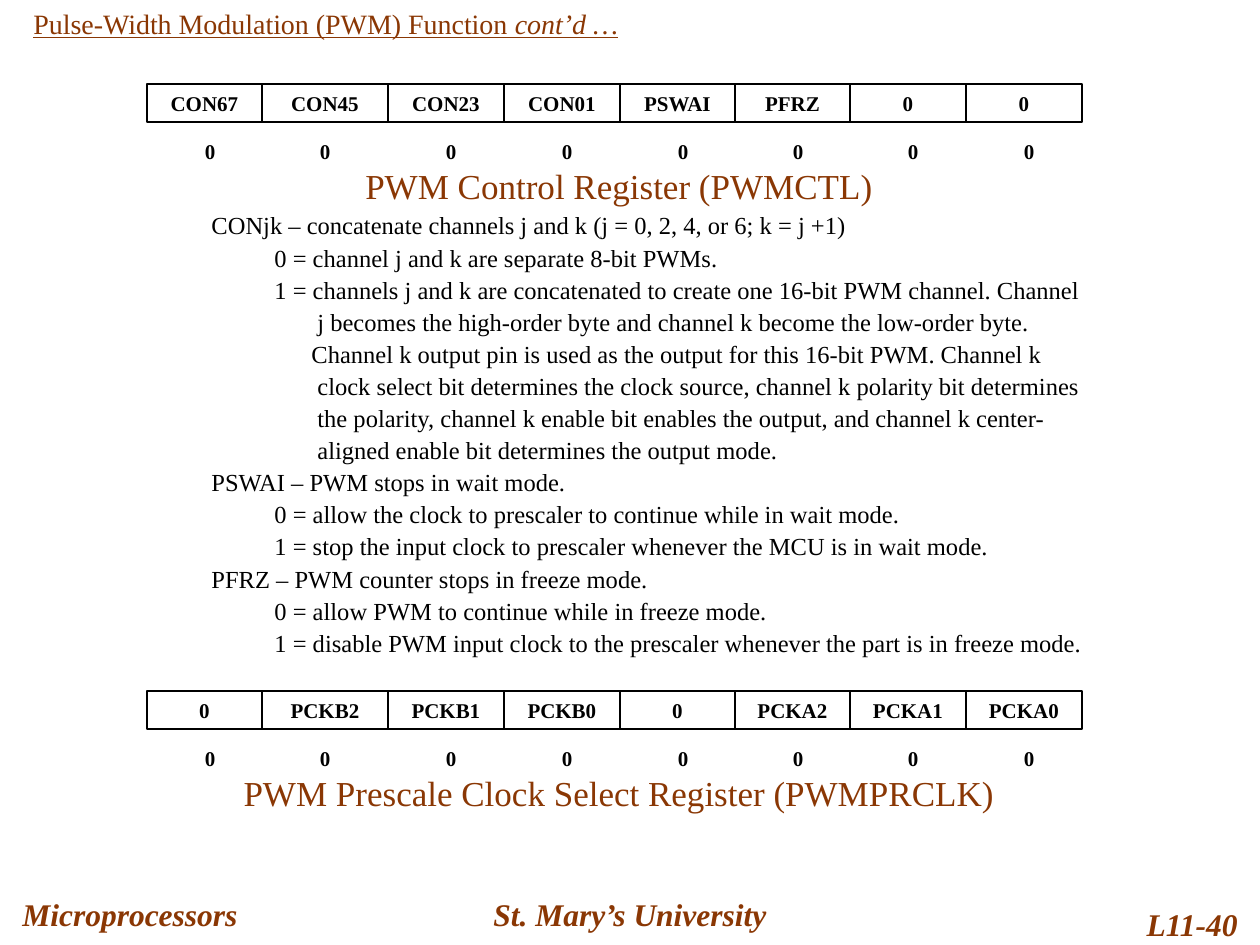
from pptx import Presentation
from pptx.dml.color import RGBColor
from pptx.enum.shapes import MSO_SHAPE
from pptx.enum.text import MSO_ANCHOR, PP_ALIGN
from pptx.util import Emu, Pt

COLORS = {"brown": "8A3704", "black": "000000"}
FONT = "Times New Roman"


def px(n):
    return Emu(round(n * 914400 / 126))


def write(sp, lines, size, color, align=PP_ALIGN.LEFT, bold=False, italic=False):
    tf = sp.text_frame
    tf.word_wrap = True
    tf.vertical_anchor = MSO_ANCHOR.TOP
    tf.text = "\n".join(lines)
    for p in tf.paragraphs:
        p.alignment = align
        for r in p.runs:
            r.font.name, r.font.size = FONT, Pt(size)
            r.font.bold, r.font.italic = bold, italic
            r.font.color.rgb = RGBColor.from_string(COLORS[color])
    return tf


prs = Presentation()
prs.slide_width, prs.slide_height = px(1260), px(945)
s = prs.slides.add_slide(prs.slide_layouts[6])

# Footer
footers = [
    ("Microprocessors", 10, 882, 305, PP_ALIGN.LEFT),
    ("St. Mary’s University", 430, 882, 400, PP_ALIGN.CENTER),
    ("L11-40", 1092, 892, 158, PP_ALIGN.RIGHT),
]
for text, x, y, w, align in footers:
    sp = s.shapes.add_textbox(px(x), px(y), px(w), px(63))
    tf = write(sp, [text], 18, "brown", align, bold=True, italic=True)
    tf.vertical_anchor = MSO_ANCHOR.MIDDLE

# Title
sp = s.shapes.add_textbox(px(21), px(0), px(1124), px(47))
tf = write(sp, ["Pulse-Width Modulation (PWM) Function "], 16, "brown")
r = tf.paragraphs[0].add_run()
r.text = "cont’d …"
r.font.name, r.font.size, r.font.italic = FONT, Pt(16), True
r.font.color.rgb = RGBColor.from_string(COLORS["brown"])
for r in tf.paragraphs[0].runs:
    r.font.underline = True

# Registers: bit names, reset values, caption
edges = [147, 262, 388, 504, 620, 735, 850, 966, 1082]
registers = [
    (84, "PWM Control Register (PWMCTL)",
     ["CON67", "CON45", "CON23", "CON01", "PSWAI", "PFRZ", "0", "0"]),
    (691, "PWM Prescale Clock Select Register (PWMPRCLK)",
     ["0", "PCKB2", "PCKB1", "PCKB0", "0", "PCKA2", "PCKA1", "PCKA0"]),
]
for top, caption, bits in registers:
    for left, right, bit in zip(edges, edges[1:], bits):
        sp = s.shapes.add_shape(MSO_SHAPE.RECTANGLE, px(left), px(top), px(right - left), px(38))
        sp.shadow.inherit = False
        sp.fill.background()
        sp.line.color.rgb = RGBColor.from_string(COLORS["black"])
        sp.line.width = Pt(1)
        write(sp, [bit], 12, "black", PP_ALIGN.CENTER, bold=True)
    for left in edges[:-1]:
        sp = s.shapes.add_textbox(px(left + 42), px(top + 48), px(42), px(38))
        write(sp, ["0"], 12, "black", PP_ALIGN.CENTER, bold=True)
    sp = s.shapes.add_textbox(px(199), px(top + 74), px(840), px(55))
    write(sp, [caption], 20, "brown", PP_ALIGN.CENTER)

# Bit descriptions, each with its left indent
descriptions = [
    (63, "CONjk – concatenate channels j and k (j = 0, 2, 4, or 6; k = j +1)"),
    (126, "0 = channel j and k are separate 8-bit PWMs."),
    (126, "1 = channels j and k are concatenated to create one 16-bit PWM channel. Channel"),
    (169, "j becomes the high-order byte and channel k become the low-order byte."),
    (163, "Channel k output pin is used as the output for this 16-bit PWM. Channel k"),
    (169, "clock select bit determines the clock source, channel k polarity bit determines"),
    (169, "the polarity, channel k enable bit enables the output, and channel k center-"),
    (169, "aligned enable bit determines the output mode."),
    (63, "PSWAI – PWM stops in wait mode."),
    (126, "0 = allow the clock to prescaler to continue while in wait mode."),
    (126, "1 = stop the input clock to prescaler whenever the MCU is in wait mode."),
    (63, "PFRZ – PWM counter stops in freeze mode."),
    (126, "0 = allow PWM to continue while in freeze mode."),
    (126, "1 = disable PWM input clock to the prescaler whenever the part is in freeze mode."),
]
sp = s.shapes.add_textbox(px(136), px(210), px(966), px(441))
tf = write(sp, [text for _, text in descriptions], 14, "black")
for i, (p, (indent, _)) in enumerate(zip(tf.paragraphs, descriptions)):
    pPr = p._p.get_or_add_pPr()
    pPr.set("marL", str(px(indent)))
    pPr.set("indent", "0")
    p.line_spacing = 0.8
    if i:
        p.space_before = Pt(4.9)

prs.save("out.pptx")
